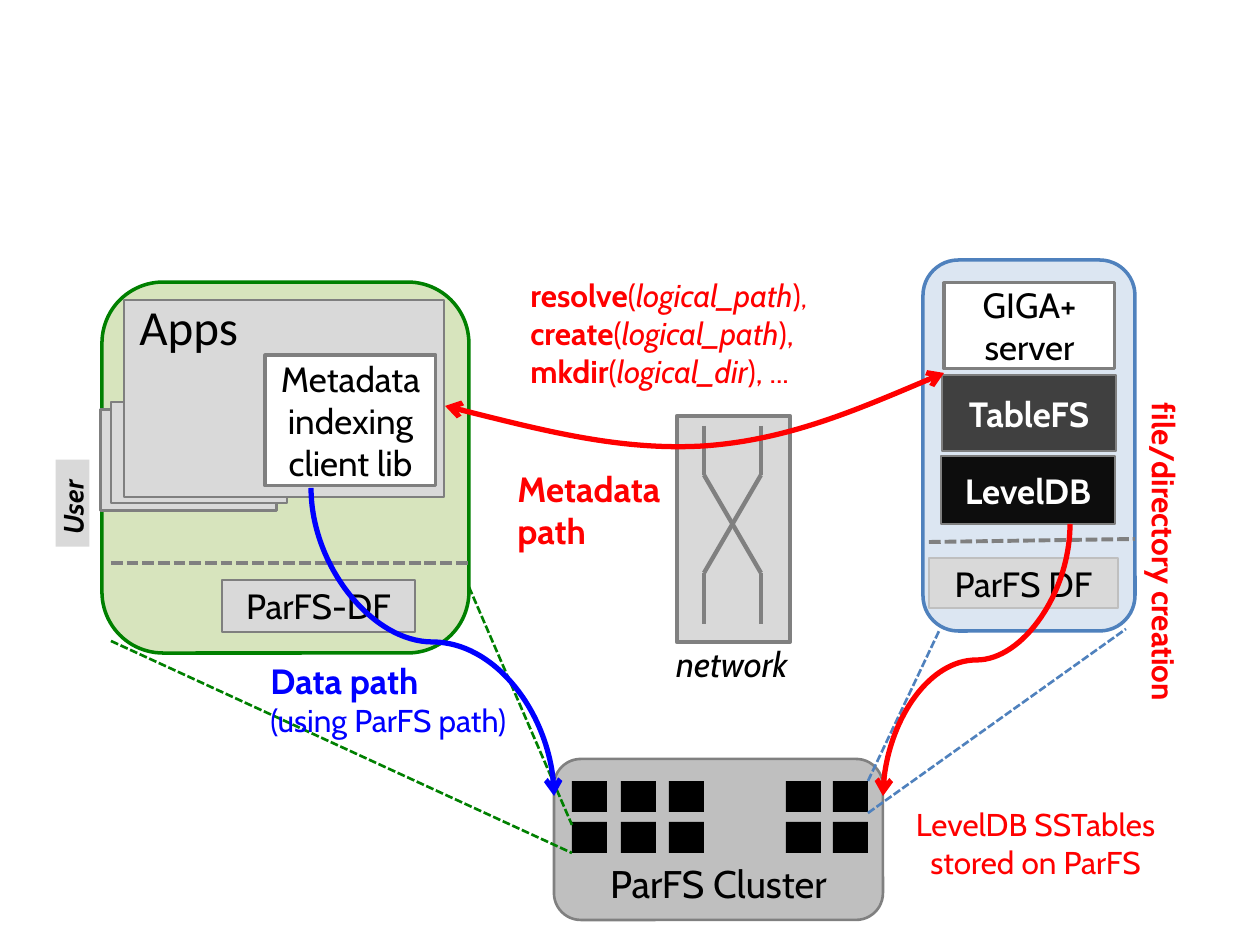
from dataclasses import dataclass
from itertools import product

from lxml import etree
from pptx import Presentation, util as u
from pptx.dml.color import RGBColor
from pptx.enum import dml, shapes, text
from pptx.oxml.ns import qn

EMU_PER_PIXEL = 914400 / 126


@dataclass(frozen=True)
class Theme:
    """Colours, fonts and type sizes of the slide."""
    black: str = "000000"
    white: str = "FFFFFF"
    red: str = "FF0000"
    blue: str = "0000FF"
    green: str = "008000"
    pale_green: str = "D7E4BD"
    steel: str = "4F81BD"
    pale_blue: str = "DCE6F2"
    light: str = "D9D9D9"
    silver: str = "BFBFBF"
    grey: str = "808080"
    edge: str = "7F7F7F"
    charcoal: str = "404040"
    ink: str = "0D0D0D"
    font: str = "Cabin"
    apps_font: str = "Calibri"
    tiny: int = 16
    small: int = 18
    normal: int = 20
    large: int = 22
    huge: int = 28


def emu(pixels):
    """Turn pixels into EMU."""
    return u.Emu(round(pixels * EMU_PER_PIXEL))


def write(shape, paragraphs, align="LEFT", anchor="MIDDLE", wrap=True, **style):
    """Fill a shape with paragraphs; each is a string or a list of (text, style) runs."""
    frame = shape.text_frame
    frame.word_wrap = wrap
    frame.vertical_anchor = text.MSO_ANCHOR[anchor]
    for index, runs in enumerate(paragraphs):
        paragraph = frame.add_paragraph() if index else frame.paragraphs[0]
        paragraph.alignment = text.PP_ALIGN[align]
        for words, changes in [(runs, {})] if isinstance(runs, str) else runs:
            look = {**style, **changes}
            run = paragraph.add_run()
            run.text = words
            run.font.name = look["font"]
            run.font.size = u.Pt(look["size"])
            run.font.bold = look.get("bold", False)
            run.font.italic = look.get("italic", False)
            run.font.color.rgb = RGBColor.from_string(look["color"])


class Diagram:
    """Draws elements on one slide in one theme."""

    def __init__(self, slide, theme):
        """Keep the slide and its theme."""
        self.slide, self.theme = slide, theme

    def style(self, **changes):
        """Return the default text style with changes."""
        theme = self.theme
        return {"font": theme.font, "size": theme.normal, "color": theme.black, **changes}

    def stroke(self, line, color, width, dashed=False):
        """Set the colour, width and dash of a line."""
        line.color.rgb = RGBColor.from_string(color)
        line.width = u.Pt(width)
        if dashed:
            line.dash_style = dml.MSO_LINE.SQUARE_DOT

    def arrowheads(self, line, *ends):
        """Add open arrowheads to the named ends of a line."""
        for end in ends:
            etree.SubElement(line._get_or_add_ln(), qn(f"a:{end}"), type="arrow")

    def box(self, area, fill=None, line=None, width=1.5, kind="RECTANGLE",
            words=(), rotation=0, align="CENTER", anchor="MIDDLE", **style):
        """Add a preset shape, with text if given."""
        shape = self.slide.shapes.add_shape(shapes.MSO_SHAPE[kind], *map(emu, area))
        shape.shadow.inherit = False
        shape.rotation = rotation
        if fill:
            shape.fill.solid()
            shape.fill.fore_color.rgb = RGBColor.from_string(fill)
        else:
            shape.fill.background()
        if line:
            self.stroke(shape.line, line, width)
        else:
            shape.line.fill.background()
        if words:
            write(shape, words, align, anchor, **self.style(**style))

    def label(self, area, words, align="LEFT", anchor="TOP", wrap=True, rotation=0, **style):
        """Add a text box."""
        shape = self.slide.shapes.add_textbox(*map(emu, area))
        shape.rotation = rotation
        write(shape, words, align, anchor, wrap, **self.style(**style))

    def line(self, start, end, color, width=1.5, dashed=False, kind="STRAIGHT"):
        """Add a connector and return it."""
        connector = self.slide.shapes.add_connector(
            shapes.MSO_CONNECTOR[kind], *map(emu, (*start, *end)))
        self.stroke(connector.line, color, width, dashed)
        etree.SubElement(connector._element.spPr, qn("a:effectLst"))
        return connector

    def falling_curve(self, start, end, color, width=3):
        """Add a curved arrow that leaves and arrives vertically."""
        (x1, y1), (x2, y2) = start, end
        middle_x, middle_y = (x1 + x2) / 2, (y1 + y2) / 2
        half_width, half_height = (y2 - y1) / 2, abs(x2 - x1) / 2
        rightward = x2 > x1
        side = half_width if rightward else -half_width
        connector = self.line((middle_x + side, middle_y - half_height),
                              (middle_x - side, middle_y + half_height),
                              color, width, kind="CURVE")
        turn = 270 if rightward else 90
        connector._element.spPr.find(qn("a:xfrm")).set("rot", str(turn * 60000))
        self.arrowheads(connector.line, "tailEnd")

    def bezier(self, points, color, width=3):
        """Add an open cubic path with an arrowhead at both ends."""
        start, *rest = [tuple(map(emu, point)) for point in points]
        builder = self.slide.shapes.build_freeform(*start)
        builder.add_line_segments(rest, close=False)
        shape = builder.convert_to_shape()
        shape.shadow.inherit = False
        shape.fill.background()
        self.stroke(shape.line, color, width)
        self.arrowheads(shape.line, "headEnd", "tailEnd")
        outline = next(shape._element.iter(qn("a:path")))
        segments = outline.findall(qn("a:lnTo"))
        for index in range(0, len(segments), 3):
            cubic = etree.SubElement(outline, qn("a:cubicBezTo"))
            for segment in segments[index:index + 3]:
                cubic.append(segment[0])
                outline.remove(segment)


def draw_cluster(diagram):
    """Draw the storage cluster with its disks."""
    theme = diagram.theme
    diagram.box((554, 759, 329, 161), theme.silver, theme.grey, kind="ROUNDED_RECTANGLE",
                words=["ParFS Cluster"], anchor="BOTTOM", size=theme.large)
    for left, top in product((572, 621, 669, 786, 833), (781, 822)):
        diagram.box((left, top, 35, 31), theme.black)


def draw_client(diagram):
    """Draw the client panel with its stack of applications."""
    theme = diagram.theme
    diagram.box((102, 282, 367, 371), theme.pale_green, theme.green, 2, "ROUNDED_RECTANGLE")
    for area, width in (((101, 410, 176, 101), 1.75), ((111, 402, 176, 101), 1.5),
                        ((124, 300, 320, 197), 1.5)):
        diagram.box(area, theme.light, theme.edge, width)
    diagram.line((111, 563), (469, 563), theme.grey, 2.25, True)
    for start, end in (((111, 641), (572, 853)), ((469, 587), (572, 825))):
        diagram.line(start, end, theme.green, dashed=True)
    diagram.box((29, 486, 87, 34), theme.light, words=["User"], rotation=270, align="LEFT",
                size=theme.tiny, bold=True, italic=True)
    diagram.box((222, 580, 193, 52), theme.light, theme.edge, words=["ParFS-DF"])


def draw_server(diagram):
    """Draw the metadata server panel with its layers."""
    theme = diagram.theme
    for start, end in (((868, 781), (940, 629)), ((868, 813), (1126, 629))):
        diagram.line(start, end, theme.steel, dashed=True)
    diagram.box((923, 260, 212, 371), theme.pale_blue, theme.steel, 2, "ROUNDED_RECTANGLE")
    diagram.box((944, 283, 171, 86), theme.white, theme.edge, 1.75, words=["GIGA+", "server"])
    diagram.line((929, 542), (1135, 539), theme.grey, 2.25, True)
    diagram.box((929, 558, 189, 50), theme.light, theme.silver, words=["ParFS DF"])
    diagram.box((868, 781, 335, 132), kind="FLOWCHART_DOCUMENT", anchor="BOTTOM",
                words=["LevelDB SSTables stored on ParFS"], size=theme.small, color=theme.red)
    for area, fill, name in (((942, 375, 174, 76), theme.charcoal, "TableFS"),
                             ((941, 456, 174, 68), theme.ink, "LevelDB")):
        diagram.box(area, fill, theme.edge, words=[name], color=theme.white, bold=True)


def draw_network(diagram):
    """Draw the network switch with its crossing wires."""
    theme = diagram.theme
    diagram.box((677, 416, 113, 226), theme.light, theme.grey, 2.5)
    left, right = 704, 761
    top, upper, lower, bottom = 426, 475, 573, 624
    for near, far in ((left, right), (right, left)):
        diagram.line((near, top), (near, upper), theme.grey, 2.5)
        diagram.line((near, upper), (far, lower), theme.grey, 2.5)
        diagram.line((near, lower), (near, bottom), theme.grey, 2.5)
    diagram.label((655, 641, 154, 45), ["network"], "CENTER", "MIDDLE", italic=True)


def draw_paths(diagram):
    """Draw the metadata and data paths with their labels."""
    theme = diagram.theme
    bold, italic = {"bold": True}, {"italic": True}
    diagram.bezier([(445, 406), (533, 428), (621, 451), (704, 446),
                    (788, 440), (866, 406), (944, 373)], theme.red)
    diagram.label((518, 270, 370, 127), [
        [("resolve", bold), ("(", {}), ("logical_path", italic), (")", {}),
         (",", {"size": theme.tiny})],
        [("create", bold), ("(", {}), ("logical_path", italic), ("), ", {}),
         ("mkdir", bold), ("(", {}), ("logical_dir", italic), ("), ...", {})],
    ], size=theme.small, color=theme.red)
    diagram.label((997, 533, 335, 50), ["file/directory creation"], wrap=False, rotation=90,
                  size=theme.small, color=theme.red, bold=True)
    diagram.label((258, 653, 306, 93), [
        [("Data path", bold)], [("(using ParFS path)", {"size": theme.small})],
    ], color=theme.blue)
    diagram.label((505, 461, 247, 97), ["Metadata", "path"], color=theme.red, bold=True)
    diagram.falling_curve((311, 488), (554, 796), theme.blue)
    diagram.falling_curve((1070, 524), (883, 796), theme.red)
    diagram.box((265, 355, 171, 131), theme.white, theme.edge, 1.75,
                words=["Metadata indexing client lib"])
    diagram.label((127, 290, 144, 72), ["Apps"], font=theme.apps_font, size=theme.huge)


def main():
    """Build and save the slide."""
    presentation = Presentation()
    presentation.slide_width, presentation.slide_height = emu(1260), emu(945)
    slide = presentation.slides.add_slide(presentation.slide_layouts[6])
    diagram = Diagram(slide, Theme())
    for draw in (draw_cluster, draw_client, draw_server, draw_network, draw_paths):
        draw(diagram)
    presentation.save("out.pptx")


main()
